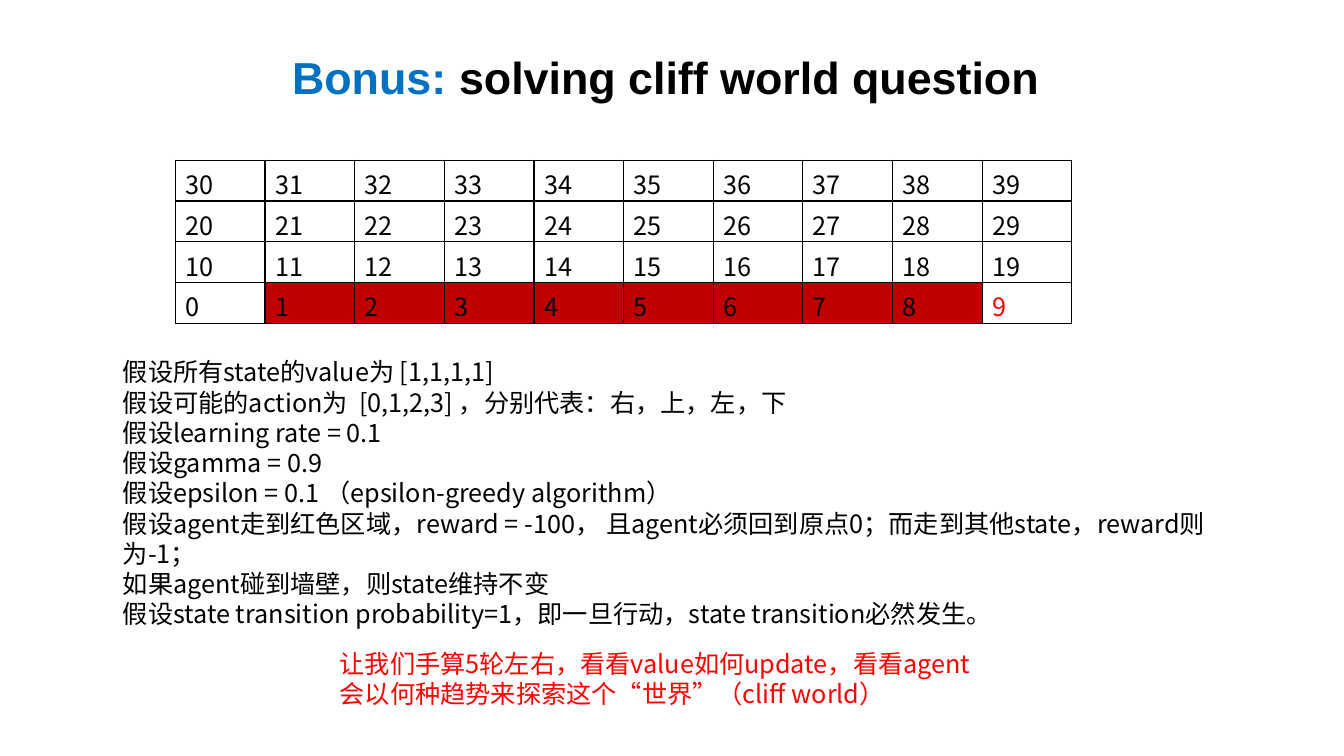
"""Build the cliff world slide: title, state grid, assumptions and task."""
import pptx
import pptx.dml.color
import pptx.enum.text
import pptx.oxml
import pptx.oxml.ns
import pptx.util

Inches, Pt = pptx.util.Inches, pptx.util.Pt
SANS, CJK = "Arial", "Noto Sans CJK SC"
BLACK, WHITE, BLUE, RED, CLIFF = "000000", "FFFFFF", "0070C0", "FF0000", "C00000"

TITLE = [("Bonus: ", BLUE), ("solving cliff world question", BLACK)]
RULES = [
    "假设所有state的value为 [1,1,1,1]",
    "假设可能的action为  [0,1,2,3] ，分别代表：右，上，左，下",
    "假设learning rate = 0.1",
    "假设gamma = 0.9",
    "假设epsilon = 0.1 （epsilon-greedy algorithm）",
    "假设agent走到红色区域，reward = -100， 且agent必须回到原点0；而走到其他state，reward则为-1；",
    "如果agent碰到墙壁，则state维持不变",
    "假设state transition probability=1，即一旦行动，state transition必然发生。",
]
TASK = "让我们手算5轮左右，看看value如何update，看看agent会以何种趋势来探索这个“世界”（cliff world）"
ROWS, COLS, GOAL = 4, 10, 9
GRID = (1.74, 1.59, 8.89, 1.62)
HEAD = {"name": SANS, "size": Pt(32), "bold": True}
BODY = {"name": CJK, "size": Pt(18)}


def color(code):
    return pptx.dml.color.RGBColor.from_string(code)


def write(para, runs, style):
    for text, code in runs:
        run = para.add_run()
        run.text = text
        for key, value in style.items():
            setattr(run.font, key, value)
        run.font.color.rgb = color(code)
        face = pptx.oxml.parse_xml(
            f'<a:ea {pptx.oxml.ns.nsdecls("a")} typeface="{style["name"]}"/>')
        run.font._element.find(pptx.oxml.ns.qn("a:latin")).addnext(face)


def add_text(slide, box, lines, style, wrap=True):
    frame = slide.shapes.add_textbox(*map(Inches, box)).text_frame
    frame.word_wrap = wrap
    for i, runs in enumerate(lines):
        para = frame.add_paragraph() if i else frame.paragraphs[0]
        write(para, runs, style)
    return frame


def border(cell):
    props = cell._tc.get_or_add_tcPr()
    for i, side in enumerate("LRTB"):
        props.insert(i, pptx.oxml.parse_xml(
            f'<a:ln{side} {pptx.oxml.ns.nsdecls("a")} w="12700"><a:solidFill>'
            f'<a:srgbClr val="{BLACK}"/></a:solidFill></a:ln{side}>'))


def add_grid(slide):
    table = slide.shapes.add_table(ROWS, COLS, *map(Inches, GRID)).table
    table.first_row = table.horz_banding = False
    for col in table.columns:
        col.width = Inches(GRID[2] / COLS)
    for row in range(ROWS):
        for col in range(COLS):
            cell = table.cell(row, col)
            state = (ROWS - 1 - row) * COLS + col
            cell.fill.solid()
            cell.fill.fore_color.rgb = color(CLIFF if 0 < state < GOAL else WHITE)
            ink = RED if state == GOAL else BLACK
            write(cell.text_frame.paragraphs[0], [(str(state), ink)], BODY)
            border(cell)


def main():
    deck = pptx.Presentation()
    deck.slide_width, deck.slide_height = Inches(13.33), Inches(7.5)
    slide = deck.slides.add_slide(deck.slide_layouts[6])
    title = add_text(slide, (2.77, -0.09, 7.67, 1.03), [TITLE], HEAD, False)
    title.paragraphs[0].alignment = pptx.enum.text.PP_ALIGN.CENTER
    title.paragraphs[0].line_spacing = 2.0
    add_grid(slide)
    add_text(slide, (1.12, 3.49, 11.57, 2.52), [[(rule, BLACK)] for rule in RULES], BODY)
    add_text(slide, (3.27, 6.38, 6.67, 0.71), [[(TASK, RED)]], BODY)
    deck.save("out.pptx")


if __name__ == "__main__":
    main()
